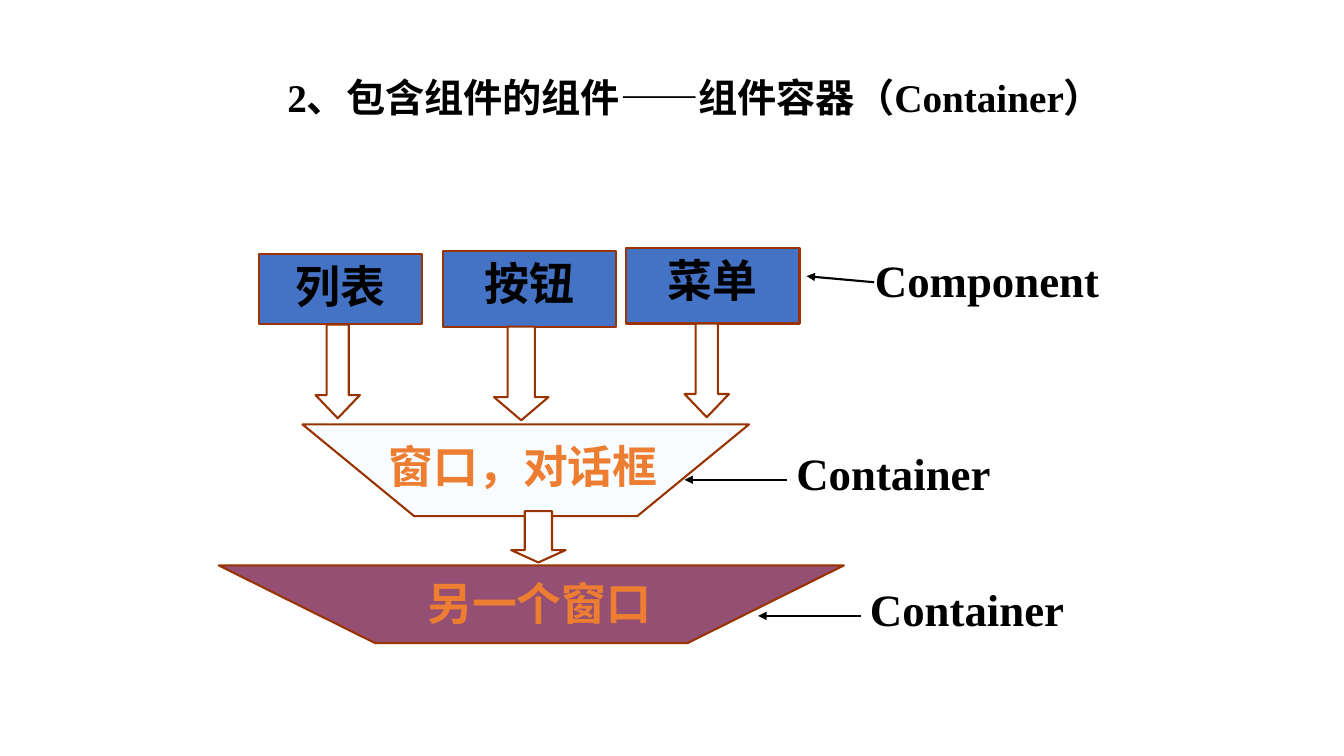
from dataclasses import dataclass

from lxml.etree import SubElement
from pptx import Presentation
from pptx.dml.color import RGBColor
from pptx.enum.dml import MSO_LINE
from pptx.enum.shapes import MSO_CONNECTOR, MSO_SHAPE as Preset
from pptx.enum.text import MSO_ANCHOR as Anchor, MSO_AUTO_SIZE as AutoSize, PP_ALIGN as Align
from pptx.oxml.ns import qn
from pptx.util import Inches, Pt

BLACK = RGBColor(0x00, 0x00, 0x00)
WHITE = RGBColor(0xFF, 0xFF, 0xFF)
BLUE = RGBColor(0x44, 0x72, 0xC4)
BROWN = RGBColor(0x99, 0x33, 0x00)
ORANGE = RGBColor(0xED, 0x7D, 0x31)
PLUM = RGBColor(0x95, 0x4F, 0x72)
PALE = RGBColor(0xF8, 0xFC, 0xFE)
FONT = {"name": "Times New Roman", "bold": True}
LINE_WIDTH = Pt(1.5)


@dataclass
class Box:
    left: float
    top: float
    width: float
    height: float

    def lengths(self) -> list:
        return [Inches(v) for v in (self.left, self.top, self.width, self.height)]


@dataclass
class Label:
    text: str
    box: Box
    color: RGBColor = BLACK
    align: Align = Align.JUSTIFY


@dataclass
class DownArrow:
    box: Box
    head: float


@dataclass
class Funnel:
    box: Box
    fill: RGBColor


@dataclass
class Pointer:
    start: tuple[float, float]
    end: tuple[float, float]


COMPONENTS = [
    Label("列表", Box(2.57, 2.52, 1.62, 0.69), align=Align.CENTER),
    Label("按钮", Box(4.39, 2.49, 1.72, 0.75), align=Align.CENTER),
    Label("菜单", Box(6.21, 2.46, 1.72, 0.75), align=Align.CENTER),
]
ARROWS = [
    DownArrow(Box(3.13, 3.22, 0.44, 0.93), 0.23),
    DownArrow(Box(4.9, 3.24, 0.54, 0.93), 0.23),
    DownArrow(Box(6.79, 3.21, 0.44, 0.93), 0.23),
    DownArrow(Box(5.07, 5.07, 0.54, 0.51), 0.13),
]
FUNNELS = [
    Funnel(Box(2.17, 5.61, 6.2, 0.77), PLUM),
    Funnel(Box(3, 4.21, 4.43, 0.91), PALE),
]
LABELS = [
    Label("另一个窗口", Box(3.75, 5.66, 3.2, 0.64), ORANGE, Align.CENTER),
    Label("窗口，对话框", Box(3.42, 4.3, 3.54, 0.64), ORANGE, Align.CENTER),
    Label("Component", Box(8.58, 2.46, 2.6, 0.69)),
    Label("Container", Box(7.8, 4.37, 2.6, 0.69)),
    Label("Container", Box(8.53, 5.72, 2.6, 0.69)),
]
POINTERS = [
    Pointer((8.67, 2.8), (8, 2.74)),
    Pointer((7.81, 4.76), (6.79, 4.76)),
    Pointer((8.54, 6.11), (7.52, 6.11)),
]


def apply(target, values: dict) -> None:
    for name, value in values.items():
        setattr(target, name, value)


def write(shape, text: str, size: int, color: RGBColor, align: Align):
    frame = shape.text_frame
    apply(frame, {"word_wrap": True, "vertical_anchor": Anchor.TOP})
    para = frame.paragraphs[0]
    para.alignment = align
    span = para.add_run()
    span.text = text
    apply(span.font, FONT | {"size": Pt(size)})
    span.font.color.rgb = color
    return para


def paint(shape, fill: RGBColor) -> None:
    shape.shadow.inherit = False
    shape.fill.solid()
    shape.fill.fore_color.rgb = fill
    shape.line.color.rgb = BROWN
    shape.line.width = LINE_WIDTH


def draw_component(page, item: Label) -> None:
    shape = page.shapes.add_shape(Preset.RECTANGLE, *item.box.lengths())
    paint(shape, BLUE)
    write(shape, item.text, 32, item.color, item.align)


def draw_arrow(page, item: DownArrow) -> None:
    shape = page.shapes.add_shape(Preset.DOWN_ARROW, *item.box.lengths())
    shape.adjustments[1] = item.head / item.box.width
    paint(shape, WHITE)


def draw_funnel(page, item: Funnel) -> None:
    # The lower edge is inset by a quarter of the width on each side
    left, top, width, height = item.box.lengths()
    outline = page.shapes.build_freeform(left, top)
    outline.add_line_segments([
        (left + width // 4, top + height),
        (left + width * 3 // 4, top + height),
        (left + width, top),
    ], close=True)
    paint(outline.convert_to_shape(), item.fill)


def draw_label(page, item: Label) -> None:
    shape = page.shapes.add_textbox(*item.box.lengths())
    write(shape, item.text, 32, item.color, item.align)


def draw_pointer(page, item: Pointer) -> None:
    ends = [Inches(v) for v in item.start + item.end]
    line = page.shapes.add_connector(MSO_CONNECTOR.STRAIGHT, *ends)
    line.line.color.rgb = BLACK
    apply(line.line, {"width": LINE_WIDTH, "dash_style": MSO_LINE.SOLID})
    SubElement(line.line._ln, qn("a:tailEnd"), type="triangle")
    SubElement(line._element.spPr, qn("a:effectLst"))


deck = Presentation()
apply(deck, {"slide_width": Inches(13.33), "slide_height": Inches(7.5)})
page = deck.slides.add_slide(deck.slide_layouts[5])

# Title
title = page.shapes.title
apply(title, dict(zip(("left", "top", "width", "height"), Box(2.75, 0.58, 8.38, 0.63).lengths())))
heading = write(title, "2、包含组件的组件——组件容器（Container）", 28, BLACK, Align.LEFT)
heading.line_spacing = 1.2
title.text_frame.auto_size = AutoSize.SHAPE_TO_FIT_TEXT

# Diagram, from back to front
for draw, items in (
    (draw_component, COMPONENTS),
    (draw_funnel, FUNNELS),
    (draw_arrow, ARROWS),
    (draw_label, LABELS),
    (draw_pointer, POINTERS),
):
    for item in items:
        draw(page, item)

deck.save("out.pptx")
